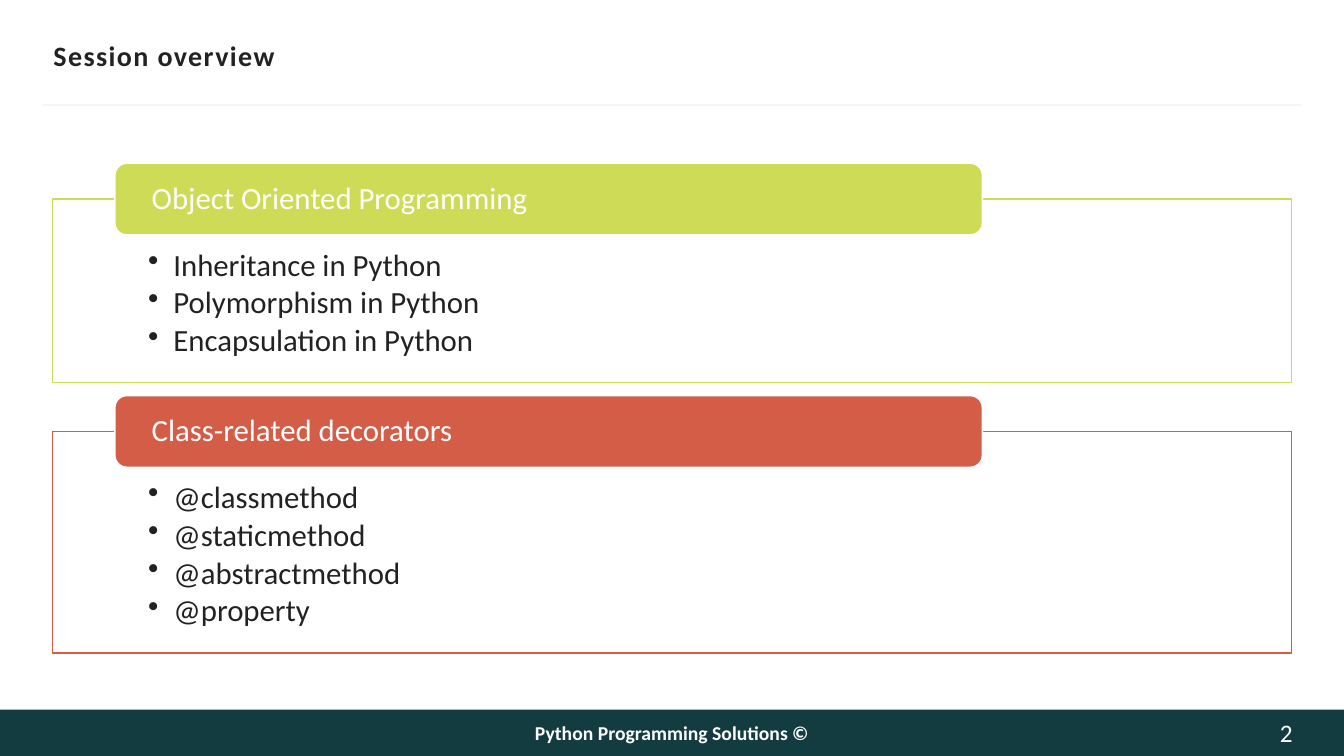
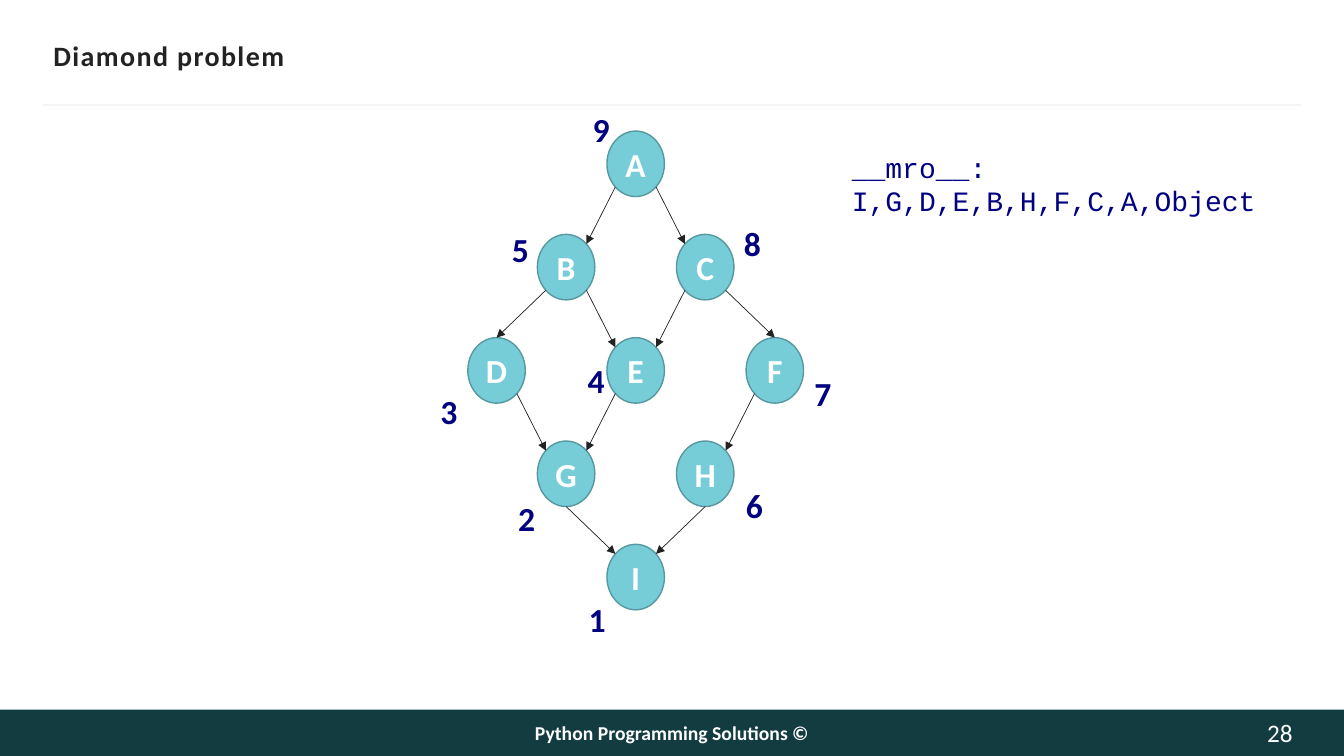
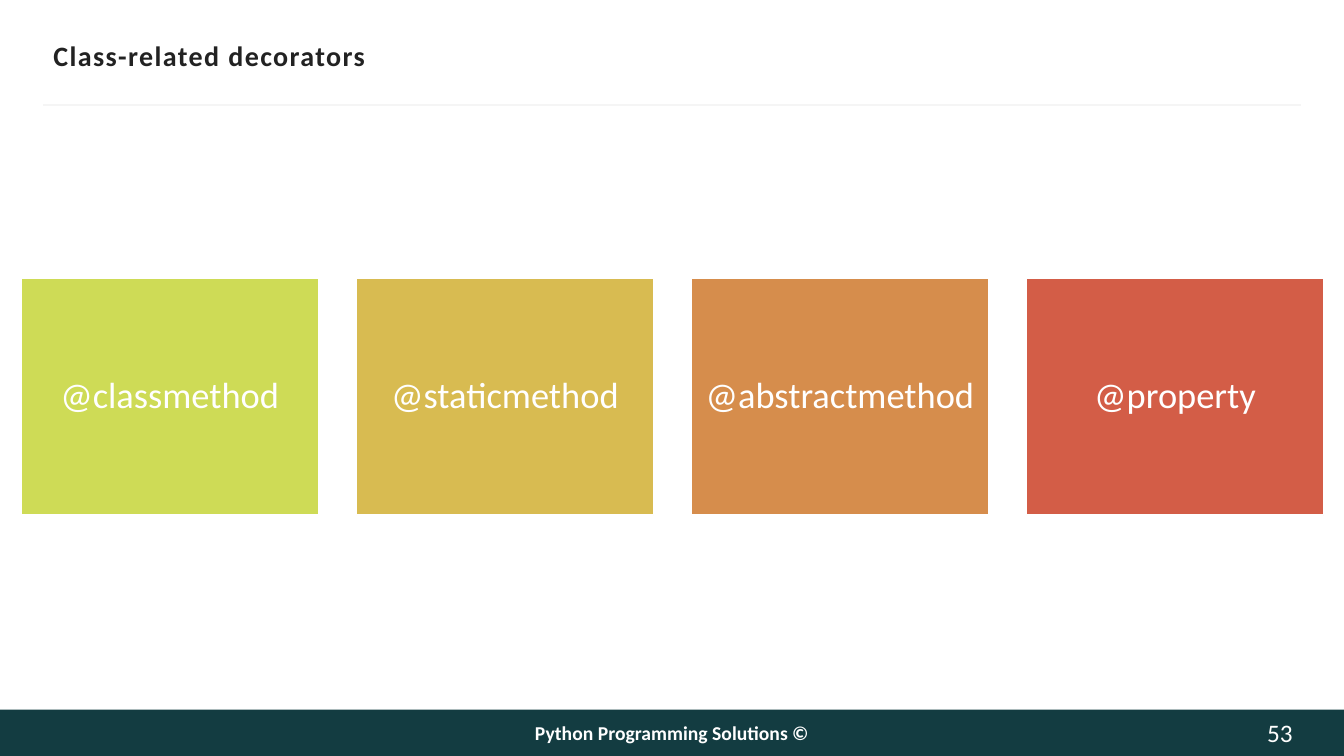
import math
from dataclasses import dataclass

import lxml.etree
import pptx
import pptx.dml.color
import pptx.enum.shapes
import pptx.enum.text
import pptx.oxml.ns
import pptx.util

Inches = pptx.util.Inches
Pt = pptx.util.Pt
qn = pptx.oxml.ns.qn
SHAPE = pptx.enum.shapes.MSO_SHAPE
ALIGN = pptx.enum.text.PP_ALIGN
ANCHOR = pptx.enum.text.MSO_ANCHOR


@dataclass(frozen=True)
class Theme:
    width: float = 13.33
    height: float = 7.5
    font: str = "Calibri"
    code_font: str = "Courier New"
    ink: str = "222222"
    white: str = "FFFFFF"
    page_number: str = "FEFEFE"
    band: str = "133C41"
    rule: str = "F5F5F5"
    lime: str = "CEDB56"
    gold: str = "D8BB51"
    orange: str = "D68D4C"
    red: str = "D35D47"
    node: str = "76CDD8"
    node_edge: str = "5798A0"
    navy: str = "000080"
    title_size: int = 20
    section_size: int = 22
    node_size: int = 24
    tile_size: int = 26
    code_size: int = 20
    footer_size: int = 14
    page_size: int = 18


THEME = Theme()


# Shared drawing helpers

def rgb(colour):
    return pptx.dml.color.RGBColor.from_string(colour)


def write(frame, text, size, colour=THEME.ink, font=THEME.font, bold=False,
          align=ALIGN.LEFT, anchor=ANCHOR.TOP, insets=(0.1, 0.05, 0.1, 0.05),
          wrap=True, line_spacing=None, space_after=None, tracking=None,
          bullet=None):
    """Fill a text frame, one paragraph for each line of text."""
    frame.word_wrap = wrap
    frame.vertical_anchor = anchor
    (frame.margin_left, frame.margin_top,
     frame.margin_right, frame.margin_bottom) = map(Inches, insets)
    for index, line in enumerate(text.split("\n")):
        paragraph = frame.add_paragraph() if index else frame.paragraphs[0]
        paragraph.alignment = align
        if line_spacing:
            paragraph.line_spacing = line_spacing
        if space_after:
            paragraph.space_after = Pt(space_after)
        if bullet:
            properties = paragraph._p.get_or_add_pPr()
            properties.set("marL", str(Inches(0.25)))
            properties.set("indent", str(-Inches(0.25)))
            lxml.etree.SubElement(properties, qn("a:buChar")).set("char", bullet)
        run = paragraph.add_run()
        run.text = line
        run.font.name = font
        run.font.size = Pt(size)
        run.font.bold = bold
        run.font.color.rgb = rgb(colour)
        if tracking:
            run.font._element.set("spc", str(tracking * 100))


def add_text(slide, box, text, size, **style):
    label = slide.shapes.add_textbox(*map(Inches, box))
    write(label.text_frame, text, size, **style)


def add_block(slide, kind, box, fill, edge=None):
    block = slide.shapes.add_shape(kind, *map(Inches, box))
    block.shadow.inherit = False
    block.fill.solid()
    block.fill.fore_color.rgb = rgb(fill)
    if edge:
        block.line.color.rgb = rgb(edge)
        block.line.width = Pt(1)
    else:
        block.line.fill.background()
    return block


def add_line(slide, start, end, colour, width, arrow=False):
    line = slide.shapes.add_connector(
        pptx.enum.shapes.MSO_CONNECTOR.STRAIGHT, *map(Inches, (*start, *end)))
    line.line.color.rgb = rgb(colour)
    line.line.width = Pt(width)
    properties = line._element.spPr
    if arrow:
        outline = properties.find(qn("a:ln"))
        lxml.etree.SubElement(outline, qn("a:tailEnd")).set("type", "triangle")
    lxml.etree.SubElement(properties, qn("a:effectLst"))


# Frame common to every slide

def add_framed_slide(deck, title, number):
    slide = deck.slides.add_slide(deck.slide_layouts[6])
    band_height = 0.46
    band_top = THEME.height - band_height
    add_block(slide, SHAPE.RECTANGLE,
              (0, band_top, THEME.width, band_height), THEME.band)
    add_line(slide, (0.43, 1.04), (12.9, 1.04), THEME.rule, 1.5)
    add_text(slide, (0.53, 0.33, 12.29, 0.44), title, THEME.title_size,
             bold=True, tracking=1, anchor=ANCHOR.MIDDLE,
             insets=(0, 0.05, 0, 0.05))
    add_text(slide, (3.5, band_top, 6.33, band_height),
             "Python Programming Solutions ©", THEME.footer_size,
             colour=THEME.white, bold=True, align=ALIGN.CENTER,
             anchor=ANCHOR.MIDDLE)
    add_text(slide, (12.15, band_top, 0.67, band_height), str(number),
             THEME.page_size, colour=THEME.page_number, align=ALIGN.RIGHT,
             anchor=ANCHOR.MIDDLE, insets=(0, 0, 0, 0))
    return slide


# Overview: outlined panels with overlapping heading tabs

def add_sections(slide, box, sections):
    left, top, width = box
    tab_height, gap = 0.71, 0.13
    for heading, topics, colour in sections:
        panel_top = top + tab_height / 2
        panel_height = 0.68 + 0.38 * len(topics)
        panel = add_block(slide, SHAPE.RECTANGLE,
                          (left, panel_top, width, panel_height),
                          THEME.white, colour)
        write(panel.text_frame, "\n".join(topics), THEME.section_size,
              insets=(0.95, 0.5, 0.95, 0.17), line_spacing=0.9,
              space_after=3.3, bullet="•")
        tab = add_block(slide, SHAPE.ROUNDED_RECTANGLE,
                        (left + 0.62, top, width * 0.7, tab_height),
                        colour, THEME.white)
        write(tab.text_frame, heading, THEME.section_size, colour=THEME.white,
              anchor=ANCHOR.MIDDLE, insets=(0.33, 0, 0.33, 0),
              line_spacing=0.9)
        top = panel_top + panel_height + gap


# Inheritance graph: class -> column, row, rank, rank offset from the node
CLASSES = {
    "A": (2, 0, 9, (-0.24, -0.27)),
    "B": (1, 1, 5, (-0.35, -0.1)),
    "C": (3, 1, 8, (0.57, -0.16)),
    "D": (0, 2, 3, (-0.37, 0.48)),
    "E": (2, 2, 4, (-0.29, 0.17)),
    "F": (4, 2, 7, (0.58, 0.3)),
    "G": (1, 3, 2, (-0.29, 0.52)),
    "H": (3, 3, 6, (0.59, 0.39)),
    "I": (2, 4, 1, (-0.28, 0.49)),
}
# Points on a node's rim, as fractions of its half size
DIAGONAL = math.sqrt(0.5)
RIM = {
    "top": (0, -1),
    "bottom": (0, 1),
    "top left": (-DIAGONAL, -DIAGONAL),
    "top right": (DIAGONAL, -DIAGONAL),
    "bottom left": (-DIAGONAL, DIAGONAL),
    "bottom right": (DIAGONAL, DIAGONAL),
}
INHERITANCE = [
    ("A", "bottom left", "B", "top right"),
    ("A", "bottom right", "C", "top left"),
    ("B", "bottom left", "D", "top"),
    ("B", "bottom right", "E", "top left"),
    ("C", "bottom left", "E", "top right"),
    ("C", "bottom right", "F", "top"),
    ("D", "bottom right", "G", "top left"),
    ("E", "bottom left", "G", "top right"),
    ("F", "bottom left", "H", "top right"),
    ("G", "bottom", "I", "top left"),
    ("H", "bottom", "I", "top right"),
]


def add_class_graph(slide, box):
    left, top, width, height = box
    node_width, node_height = 0.57, 0.65
    column_step = (width - node_width) / 4
    row_step = (height - node_height) / 4

    def corner(name):
        column, row = CLASSES[name][:2]
        return left + column * column_step, top + row * row_step

    def rim_point(name, side):
        x, y = corner(name)
        across, down = RIM[side]
        return (x + node_width / 2 * (1 + across),
                y + node_height / 2 * (1 + down))

    for name in CLASSES:
        node = add_block(slide, SHAPE.OVAL,
                         (*corner(name), node_width, node_height),
                         THEME.node, THEME.node_edge)
        write(node.text_frame, name, THEME.node_size, colour=THEME.white,
              bold=True, align=ALIGN.CENTER, anchor=ANCHOR.MIDDLE,
              insets=(0, 0.05, 0, 0.05), wrap=False)
    for parent, parent_side, child, child_side in INHERITANCE:
        add_line(slide, rim_point(parent, parent_side),
                 rim_point(child, child_side), THEME.ink, 0.5, arrow=True)
    for name, (_, _, rank, (dx, dy)) in CLASSES.items():
        x, y = corner(name)
        add_text(slide, (x + dx, y + dy, 0.37, 0.5), str(rank),
                 THEME.node_size, colour=THEME.navy, bold=True, wrap=False)


# Decorators: a row of equal tiles

def add_tiles(slide, box, tiles):
    left, top, width, height = box
    tile_width = 2.95
    step = (width - tile_width) / (len(tiles) - 1)
    for index, (decorator, colour) in enumerate(tiles):
        tile = add_block(slide, SHAPE.RECTANGLE,
                         (left + index * step, top, tile_width, height),
                         colour, THEME.white)
        write(tile.text_frame, decorator, THEME.tile_size, colour=THEME.white,
              align=ALIGN.CENTER, anchor=ANCHOR.MIDDLE,
              insets=(0.11, 0.11, 0.11, 0.11), line_spacing=0.9)


def main():
    deck = pptx.Presentation()
    deck.slide_width = Inches(THEME.width)
    deck.slide_height = Inches(THEME.height)
    decorators = ["@classmethod", "@staticmethod", "@abstractmethod", "@property"]

    overview = add_framed_slide(deck, "Session overview", 2)
    add_sections(overview, (0.52, 1.62, 12.29), [
        ("Object Oriented Programming",
         ["Inheritance in Python", "Polymorphism in Python",
          "Encapsulation in Python"], THEME.lime),
        ("Class-related decorators", decorators, THEME.red),
    ])

    diamond = add_framed_slide(deck, "Diamond problem", 28)
    add_class_graph(diamond, (4.64, 1.3, 3.33, 4.75))
    add_text(diamond, (8.35, 1.44, 4.24, 0.77),
             "__mro__:\nI,G,D,E,B,H,F,C,A,Object", THEME.code_size,
             colour=THEME.navy, font=THEME.code_font, wrap=False)

    summary = add_framed_slide(deck, "Class-related decorators", 53)
    tile_colours = [THEME.lime, THEME.gold, THEME.orange, THEME.red]
    add_tiles(summary, (0.21, 2.76, 12.92, 2.35),
              list(zip(decorators, tile_colours)))

    deck.save("out.pptx")


if __name__ == "__main__":
    main()
